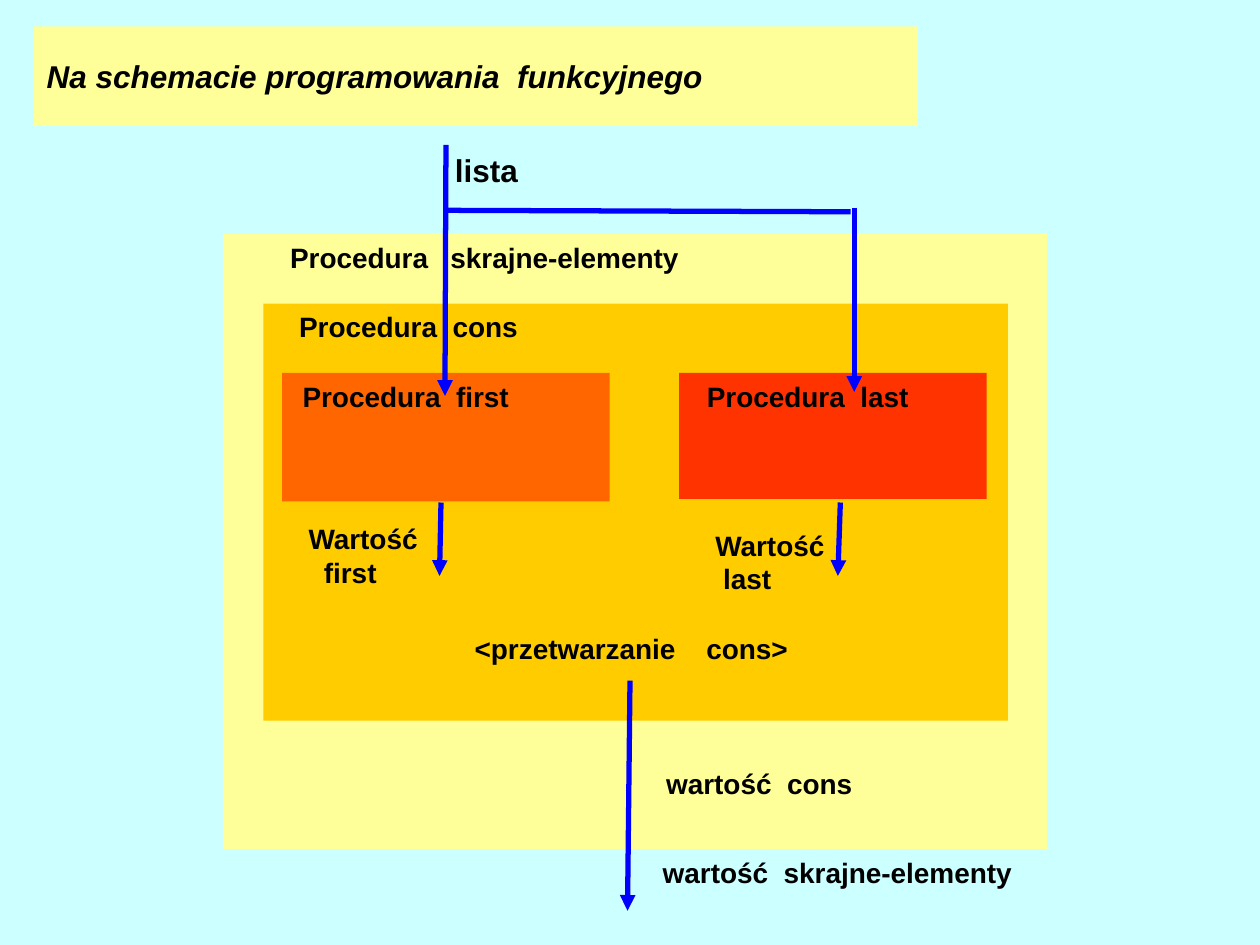
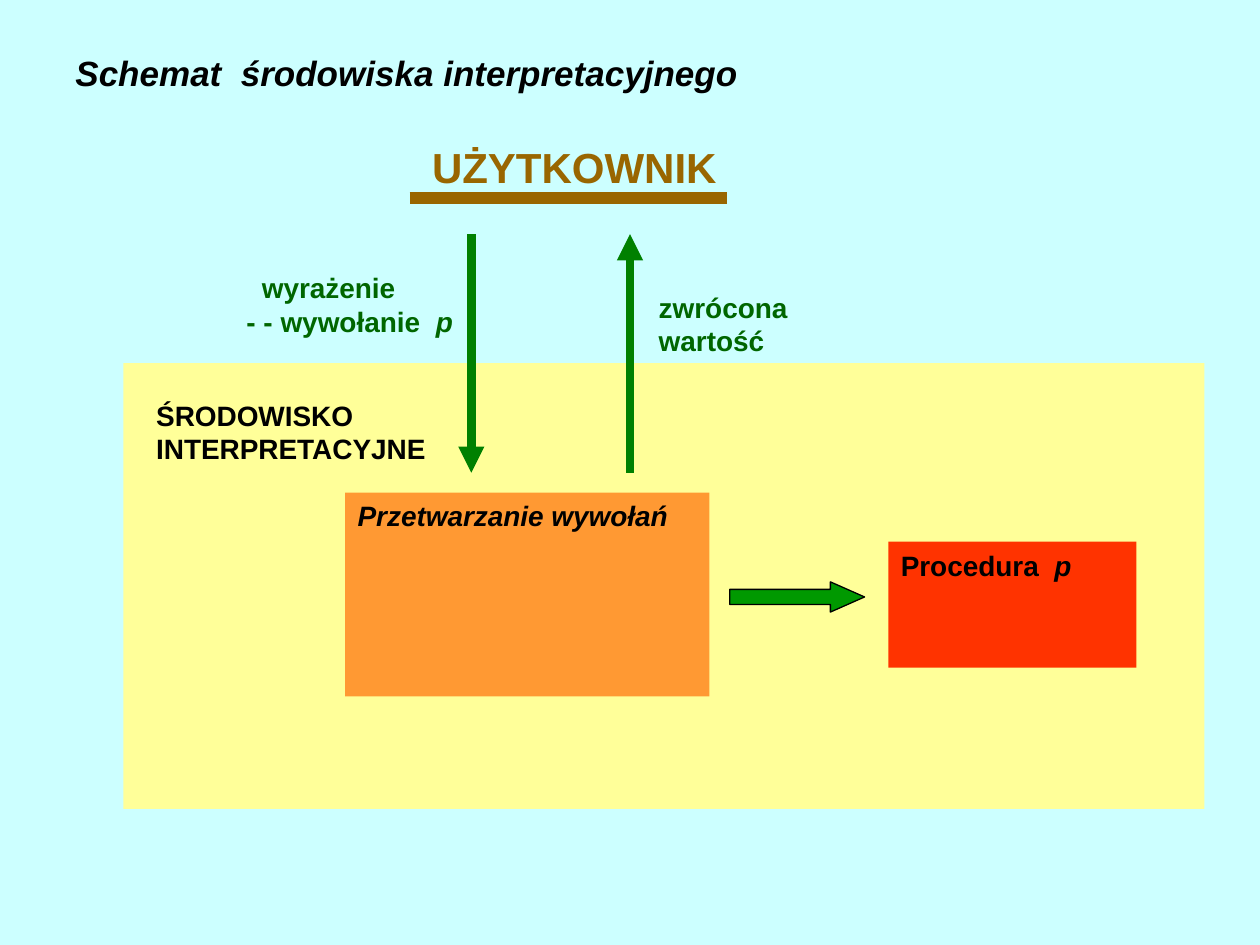
from dataclasses import dataclass

from lxml import etree
from pptx import Presentation
from pptx import util as u
from pptx.dml import color
from pptx.enum import shapes, text
from pptx.oxml import ns


@dataclass(frozen=True)
class Theme:
    font: str = "Arial"
    background: str = "CCFFFF"
    ink: str = "000000"
    pale: str = "FFFF99"
    gold: str = "FFCC00"
    apricot: str = "FF9933"
    orange: str = "FF6600"
    red: str = "FF3300"
    flow: str = "0000FF"
    user: str = "996600"
    message: str = "006600"
    exchange: str = "008000"
    call: str = "009900"
    body: int = 16
    medium: int = 18
    title: int = 20
    large: int = 24


@dataclass(frozen=True)
class Line:
    words: str
    indent: float = 0
    tab: float = 0
    italic_tail: str = ""


THEME = Theme()


def rgb(value):
    return color.RGBColor.from_string(value)


def lengths(*values):
    return [u.Cm(value) for value in values]


def format_para(para, line, size, ink, italic):
    para.alignment = text.PP_ALIGN.LEFT
    properties = para._p.get_or_add_pPr()
    if line.indent:
        properties.set("marL", str(u.Cm(line.indent)))
        properties.set("indent", "0")
    if line.tab:
        stops = etree.SubElement(properties, ns.qn("a:tabLst"))
        etree.SubElement(stops, ns.qn("a:tab"), pos=str(u.Cm(line.tab)), algn="l")
    font = para.font
    font.name = THEME.font
    font.size = u.Pt(size)
    font.bold = True
    font.italic = italic
    font.color.rgb = rgb(ink)
    para.add_run().text = line.words
    if line.italic_tail:
        span = para.add_run()
        span.text = line.italic_tail
        span.font.italic = True


def write(box, lines, size=THEME.body, ink=THEME.ink, italic=False,
          anchor=text.MSO_ANCHOR.TOP, wrap=True):
    frame = box.text_frame
    frame.auto_size = text.MSO_AUTO_SIZE.NONE
    frame.word_wrap = wrap
    frame.vertical_anchor = anchor
    frame.margin_left = frame.margin_right = u.Cm(0.25)
    frame.margin_top = frame.margin_bottom = u.Cm(0.13)
    for index, line in enumerate(lines):
        para = frame.add_paragraph() if index else frame.paragraphs[0]
        format_para(para, line, size, ink, italic)


def add_page(deck, title, place, size, fill=None):
    page = deck.slides.add_slide(deck.slide_layouts[5])
    box = page.shapes.title
    box.left, box.top, box.width, box.height = lengths(*place)
    if fill:
        box.fill.solid()
        box.fill.fore_color.rgb = rgb(fill)
    write(box, [Line(title)], size, italic=True, anchor=text.MSO_ANCHOR.MIDDLE)
    return page


def add_block(page, place, fill, kind=shapes.MSO_SHAPE.RECTANGLE):
    box = page.shapes.add_shape(kind, *lengths(*place))
    box.shadow.inherit = False
    box.fill.solid()
    box.fill.fore_color.rgb = rgb(fill)
    box.line.fill.background()
    return box


def add_panel(page, place, fill, line, inset=0, italic=False):
    box = add_block(page, place, fill)
    write(box, [line], italic=italic)
    box.text_frame.margin_left = u.Cm(0.25 + inset)


def add_label(page, place, *lines, **style):
    box = page.shapes.add_textbox(*lengths(*place))
    write(box, lines, wrap=False, **style)


def add_line(page, start, end, ink, width, arrow=True):
    line = page.shapes.add_connector(
        shapes.MSO_CONNECTOR.STRAIGHT, *lengths(*start, *end))
    line.line.color.rgb = rgb(ink)
    line.line.width = u.Pt(width)
    if arrow:
        etree.SubElement(line.line._get_or_add_ln(), ns.qn("a:tailEnd"), type="triangle")
    etree.SubElement(line._element.spPr, ns.qn("a:effectLst"))


def add_procedure_scheme(deck):
    page = add_page(deck, "Na schemacie programowania  funkcyjnego",
                    (0.69, 0.53, 17.81, 2.01), THEME.medium, THEME.pale)
    add_panel(page, (4.5, 4.72, 16.61, 12.4), THEME.pale,
              Line("Procedura\tskrajne-elementy", tab=3.23), inset=1.1)
    add_panel(page, (5.31, 6.12, 15.01, 8.41), THEME.gold,
              Line("Procedura  cons"), inset=0.47)
    add_panel(page, (5.69, 7.52, 6.6, 2.59), THEME.orange,
              Line("Procedura  first"), inset=0.16)
    add_panel(page, (13.69, 7.52, 6.2, 2.54), THEME.red,
              Line("Procedura  last"), inset=0.31)

    add_label(page, (8.92, 2.92, 1.78, 1.02), Line("lista"),
              size=THEME.medium, anchor=text.MSO_ANCHOR.MIDDLE)
    add_label(page, (5.97, 10.39, 2.72, 1.63), Line("Wartość"), Line("first", 0.31))
    add_label(page, (14.17, 10.52, 2.72, 1.63), Line("Wartość"), Line("last", 0.16))
    add_label(page, (9.32, 12.6, 6.83, 0.94), Line("<przetwarzanie\tcons>", tab=4.67))
    add_label(page, (13.18, 15.32, 4.27, 0.94), Line("wartość  cons"))
    add_label(page, (13.11, 17.12, 7.54, 0.94), Line("wartość  skrajne-elementy"))

    add_line(page, (9.02, 4.24), (17.15, 4.27), THEME.flow, 3, arrow=False)
    for start, end in (
        ((8.99, 2.92), (8.97, 7.98)),
        ((17.22, 4.19), (17.22, 7.9)),
        ((8.89, 10.13), (8.86, 11.61)),
        ((16.94, 10.13), (16.89, 11.61)),
        ((12.7, 13.72), (12.65, 18.36)),
    ):
        add_line(page, start, end, THEME.flow, 3)


def add_environment_scheme(deck):
    page = add_page(deck, "Schemat  środowiska interpretacyjnego",
                    (1.27, 0.97, 22.86, 0.97), THEME.title)
    add_block(page, (2.49, 7.32, 21.79, 8.99), THEME.pale)
    add_panel(page, (6.96, 9.93, 7.34, 4.11), THEME.apricot,
              Line("Przetwarzanie wywołań"), italic=True)
    add_panel(page, (17.91, 10.92, 5, 2.54), THEME.red,
              Line("Procedura  ", italic_tail="p"))

    add_label(page, (8.46, 2.72, 6.25, 1.27), Line("UŻYTKOWNIK"),
              size=THEME.large, ink=THEME.user)
    add_line(page, (8.26, 3.99), (14.66, 3.99), THEME.user, 7, arrow=False)
    add_label(page, (2.9, 7.9, 5.97, 1.63), Line("ŚRODOWISKO"), Line("INTERPRETACYJNE"))
    add_label(page, (4.72, 5.33, 4.83, 1.63), Line("wyrażenie", 0.31),
              Line("- - wywołanie  ", italic_tail="p"), ink=THEME.message)
    add_label(page, (13.03, 5.72, 3.1, 1.63), Line("zwrócona"), Line("wartość"),
              ink=THEME.message)

    user_side, environment_side = 4.72, 9.53
    add_line(page, (9.5, user_side), (9.5, environment_side), THEME.exchange, 5)
    add_line(page, (12.7, environment_side), (12.7, user_side), THEME.exchange, 5)

    call = add_block(page, (14.71, 11.73, 2.72, 0.61), THEME.call,
                     shapes.MSO_SHAPE.RIGHT_ARROW)
    call.adjustments[0] = 0.5
    call.adjustments[1] = 1.13
    call.line.color.rgb = rgb(THEME.ink)
    call.line.width = u.Pt(0.75)


def main():
    deck = Presentation()
    deck.slide_width, deck.slide_height = lengths(25.4, 19.05)
    backdrop = deck.slide_master.background.fill
    backdrop.solid()
    backdrop.fore_color.rgb = rgb(THEME.background)
    add_procedure_scheme(deck)
    add_environment_scheme(deck)
    deck.save("out.pptx")


if __name__ == "__main__":
    main()
